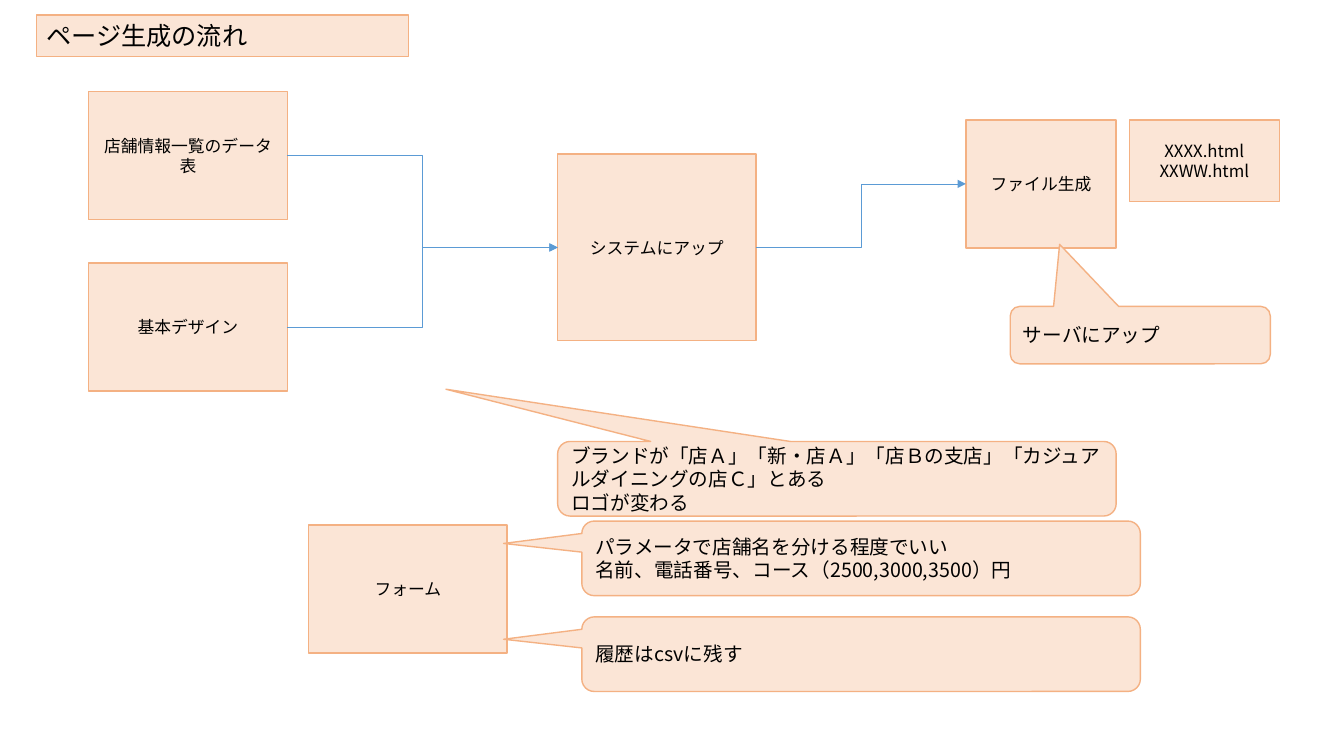
from lxml.etree import SubElement
from pptx import Presentation
from pptx.dml.color import RGBColor
from pptx.enum.shapes import MSO_CONNECTOR, MSO_SHAPE
from pptx.enum.text import MSO_ANCHOR, PP_ALIGN
from pptx.oxml.ns import qn
from pptx.util import Inches, Pt

PEACH = RGBColor(0xFB, 0xE5, 0xD6)
ORANGE = RGBColor(0xF4, 0xB1, 0x83)
BLUE = RGBColor(0x5B, 0x9B, 0xD5)
BLACK = RGBColor(0, 0, 0)
FONT = "Noto Sans CJK JP"

SLIDE_WIDTH, SLIDE_HEIGHT = Inches(13.33), Inches(7.5)

# Shared columns, rows and sizes, in percent of the slide
INPUT_COLUMN, SYSTEM_COLUMN, FILE_COLUMN = 6.6, 41.49, 71.87
NOTE_COLUMN, FORM_COLUMN = 43.29, 22.96
FILE_ROW = 15.87
BOX_WIDTH, BOX_HEIGHT, FILE_WIDTH = 14.78, 16.93, 11.18
NOTE_WIDTH, NOTE_HEIGHT = 41.56, 9.87
FORM_POINTER = (-0.64, -0.2)


def set_values(target, values):
    for name, value in values.items():
        setattr(target, name, value)


def add_panel(slide, kind, area, lines, size, alignment):
    """Add a peach shape; area is left, top, width, height in percent."""
    left, top, width, height = area
    shape = slide.shapes.add_shape(
        kind,
        int(SLIDE_WIDTH * left / 100), int(SLIDE_HEIGHT * top / 100),
        int(SLIDE_WIDTH * width / 100), int(SLIDE_HEIGHT * height / 100))
    shape.shadow.inherit = False
    shape.fill.solid()
    shape.fill.fore_color.rgb = PEACH
    shape.line.color.rgb = ORANGE
    shape.line.width = Pt(1)

    frame = shape.text_frame
    set_values(frame, {"word_wrap": True, "vertical_anchor": MSO_ANCHOR.MIDDLE})
    for index, line in enumerate(lines):
        paragraph = frame.add_paragraph() if index else frame.paragraphs[0]
        paragraph.alignment = alignment
        run = paragraph.add_run()
        run.text = line
        set_values(run.font, {"size": Pt(size), "name": FONT})
        run.font.color.rgb = BLACK
        SubElement(run.font._element, qn("a:ea"), typeface=FONT)
    return shape


def add_box(slide, area, *lines):
    return add_panel(slide, MSO_SHAPE.RECTANGLE, area, lines, 12, PP_ALIGN.CENTER)


def add_callout(slide, area, pointer, *lines):
    shape = add_panel(slide, MSO_SHAPE.ROUNDED_RECTANGULAR_CALLOUT, area,
                      lines, 14, PP_ALIGN.LEFT)
    for index, value in enumerate(pointer):
        shape.adjustments[index] = value


def add_arrow(slide, source, target):
    """Join the right side of source to the left side of target."""
    arrow = slide.shapes.add_connector(MSO_CONNECTOR.ELBOW, 0, 0, 0, 0)
    arrow.begin_connect(source, 3)
    arrow.end_connect(target, 1)
    arrow.line.color.rgb = BLUE
    arrow.line.width = Pt(0.5)
    SubElement(arrow.line._get_or_add_ln(), qn("a:tailEnd"), type="triangle")
    SubElement(arrow._element.spPr, qn("a:effectLst"))


def main():
    presentation = Presentation()
    set_values(presentation, {"slide_width": SLIDE_WIDTH, "slide_height": SLIDE_HEIGHT})
    slide = presentation.slides.add_slide(presentation.slide_layouts[6])

    # Title
    add_panel(slide, MSO_SHAPE.RECTANGLE, (2.7, 2, 27.68, 5.47),
              ["ページ生成の流れ"], 18, PP_ALIGN.LEFT)

    # Flow from the inputs to the generated files
    shop_list = add_box(slide, (INPUT_COLUMN, 12.13, BOX_WIDTH, BOX_HEIGHT),
                        "店舗情報一覧のデータ表")
    system = add_box(slide, (SYSTEM_COLUMN, 20.4, BOX_WIDTH, 24.67), "システムにアップ")
    files = add_box(slide, (FILE_COLUMN, FILE_ROW, FILE_WIDTH, BOX_HEIGHT), "ファイル生成")
    design = add_box(slide, (INPUT_COLUMN, 34.8, BOX_WIDTH, BOX_HEIGHT), "基本デザイン")
    for source, target in ((shop_list, system), (design, system), (system, files)):
        add_arrow(slide, source, target)

    # Form
    add_box(slide, (FORM_COLUMN, 69.47, BOX_WIDTH, BOX_HEIGHT), "フォーム")

    # Notes and file names
    add_callout(slide, (SYSTEM_COLUMN, 58.4, NOTE_WIDTH, NOTE_HEIGHT), (-0.7, -1.2),
                "ブランドが「店Ａ」「新・店Ａ」「店Ｂの支店」「カジュアルダイニングの店Ｃ」とある",
                "ロゴが変わる")
    add_callout(slide, (75.17, 40.53, 19.35, 7.6), (-0.31, -1.58), "サーバにアップ")
    add_callout(slide, (NOTE_COLUMN, 68.93, NOTE_WIDTH, NOTE_HEIGHT), FORM_POINTER,
                "パラメータで店舗名を分ける程度でいい",
                "名前、電話番号、コース（2500,3000,3500）円")
    add_box(slide, (84.02, FILE_ROW, FILE_WIDTH, 10.8), "XXXX.html", "XXWW.html")
    add_callout(slide, (NOTE_COLUMN, 81.6, NOTE_WIDTH, NOTE_HEIGHT), FORM_POINTER,
                "履歴はcsvに残す")

    presentation.save("out.pptx")


if __name__ == "__main__":
    main()
